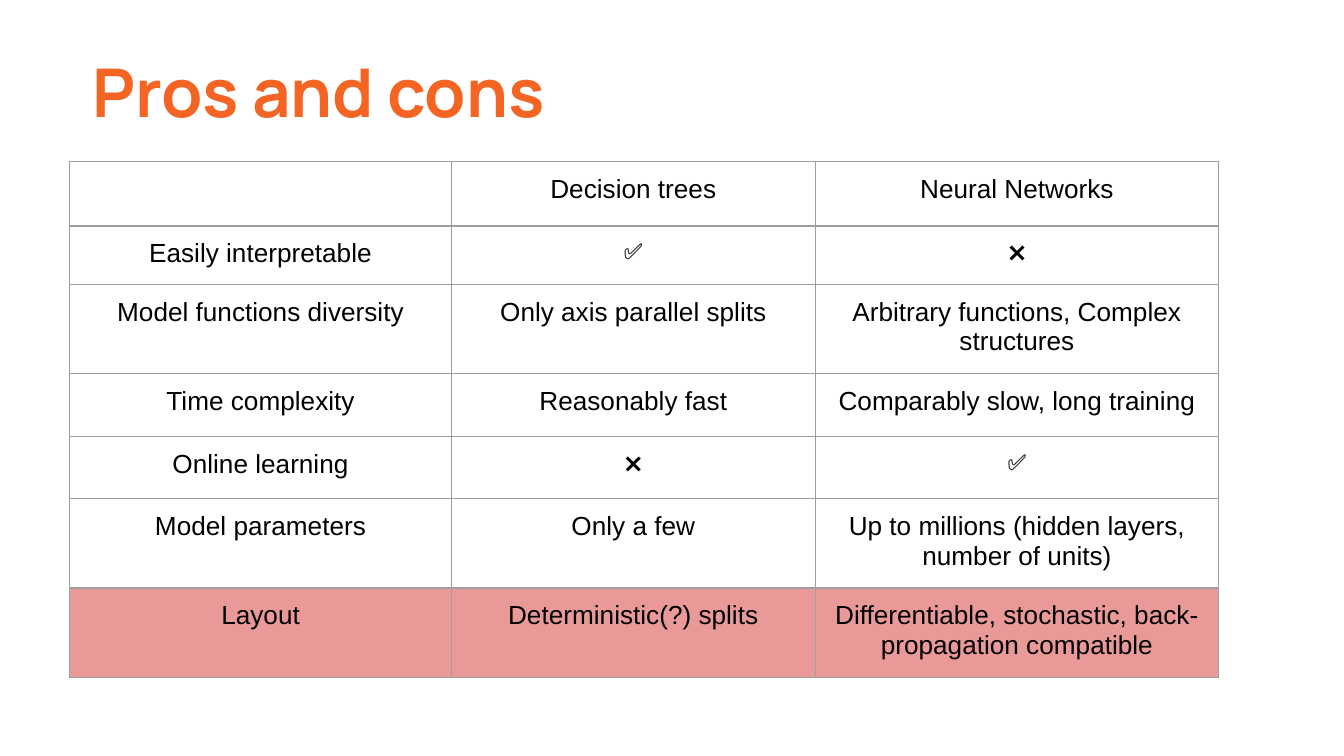
from dataclasses import dataclass

from lxml import etree
from pptx import Presentation
from pptx.dml.color import RGBColor
from pptx.enum.text import MSO_ANCHOR, PP_ALIGN
from pptx.oxml.ns import qn
from pptx.util import Cm, Pt

TOP = MSO_ANCHOR.TOP
CENTER = PP_ALIGN.CENTER
PAD = Cm(0.25)


@dataclass(frozen=True)
class Theme:
    head: str = "Manrope"
    body: str = "Arial"
    title: int = 36
    text: int = 14
    tick: int = 12
    orange: str = "F46524"
    black: str = "000000"
    dark: str = "2F2F2F"
    grey: str = "9E9E9E"
    pink: str = "EA9999"


THEME = Theme()
YES, NO = "✅", "❌"
COLS = (7.21, 6.88, 7.62)
# Row height in cm, then the cell texts
ROWS = (
    (1.22, "", "Decision trees", "Neural Networks"),
    (1.11, "Easily interpretable", YES, NO),
    (1.65, "Model functions diversity", "Only axis parallel splits",
     "Arbitrary functions, Complex structures"),
    (1.19, "Time complexity", "Reasonably fast",
     "Comparably slow, long training"),
    (1.17, "Online learning", NO, YES),
    (1.65, "Model parameters", "Only a few",
     "Up to millions (hidden layers, number of units)"),
    (1.64, "Layout", "Deterministic(?) splits",
     "Differentiable, stochastic, back-propagation compatible"),
)


def set_font(para, name, size, color, bold=False):
    font = para.font
    font.name, font.size, font.bold = name, Pt(size), bold
    font.color.rgb = RGBColor.from_string(color)


def set_pad(item):
    item.margin_left = item.margin_right = PAD
    item.margin_top = item.margin_bottom = PAD


def add_title(slide, box, text):
    frame = slide.shapes.add_textbox(*box).text_frame
    frame.word_wrap = True
    frame.vertical_anchor = TOP
    set_pad(frame)
    para = frame.paragraphs[0]
    para.text = text
    set_font(para, THEME.head, THEME.title, THEME.orange, True)


def add_edges(cell):
    props = cell._tc.get_or_add_tcPr()
    for side in ("lnL", "lnR", "lnT", "lnB"):
        line = etree.SubElement(props, qn(f"a:{side}"), w=str(Pt(0.75)))
        fill = etree.SubElement(line, qn("a:solidFill"))
        etree.SubElement(fill, qn("a:srgbClr"), val=THEME.grey)


def fill_cell(cell, text, color=None):
    set_pad(cell)
    cell.vertical_anchor = TOP
    add_edges(cell)
    if color:
        cell.fill.solid()
        cell.fill.fore_color.rgb = RGBColor.from_string(color)
    else:
        cell.fill.background()
    para = cell.text_frame.paragraphs[0]
    para.text = text
    para.alignment = CENTER
    if text == YES:
        set_font(para, THEME.body, THEME.tick, THEME.dark)
    else:
        set_font(para, THEME.body, THEME.text, THEME.black)


def add_grid(slide, box, rows, cols):
    """Draw the comparison table, with its last row tinted."""
    table = slide.shapes.add_table(len(rows), len(cols), *box).table
    table.first_row = table.horz_banding = False
    for col, width in zip(table.columns, cols):
        col.width = Cm(width)
    for row, (height, *texts) in zip(table.rows, rows):
        row.height = Cm(height)
        color = THEME.pink if texts[0] == "Layout" else None
        for cell, text in zip(row.cells, texts):
            fill_cell(cell, text, color)


def main():
    deck = Presentation()
    deck.slide_width, deck.slide_height = Cm(25.4), Cm(14.29)
    slide = deck.slides.add_slide(deck.slide_layouts[6])
    add_title(slide, (Cm(1.5), Cm(0.71), Cm(14.43), Cm(1.63)),
              "Pros and cons")
    size = Cm(sum(COLS)), Cm(sum(row[0] for row in ROWS))
    add_grid(slide, (Cm(1.32), Cm(3.05), *size), ROWS, COLS)
    deck.save("out.pptx")


if __name__ == "__main__":
    main()
